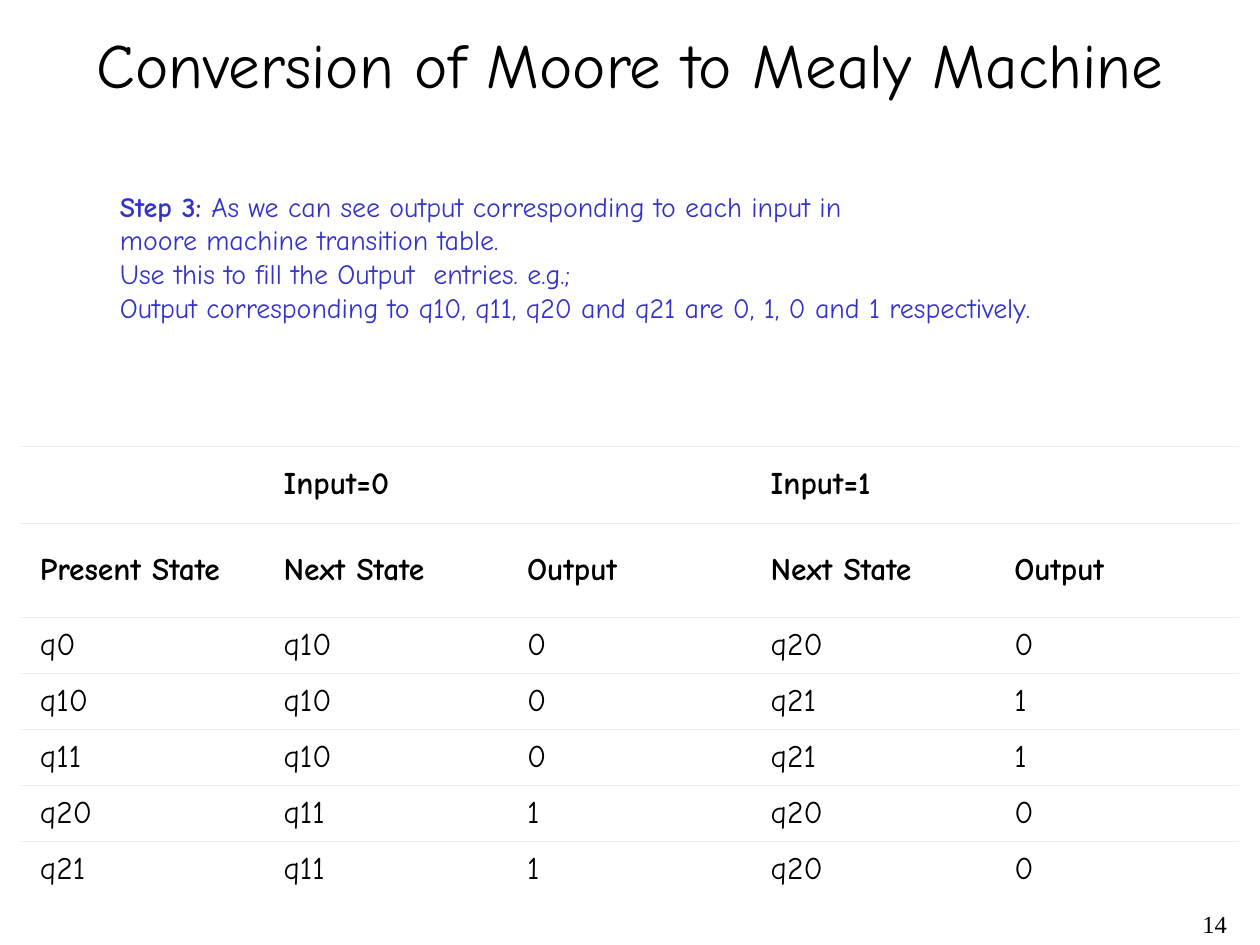
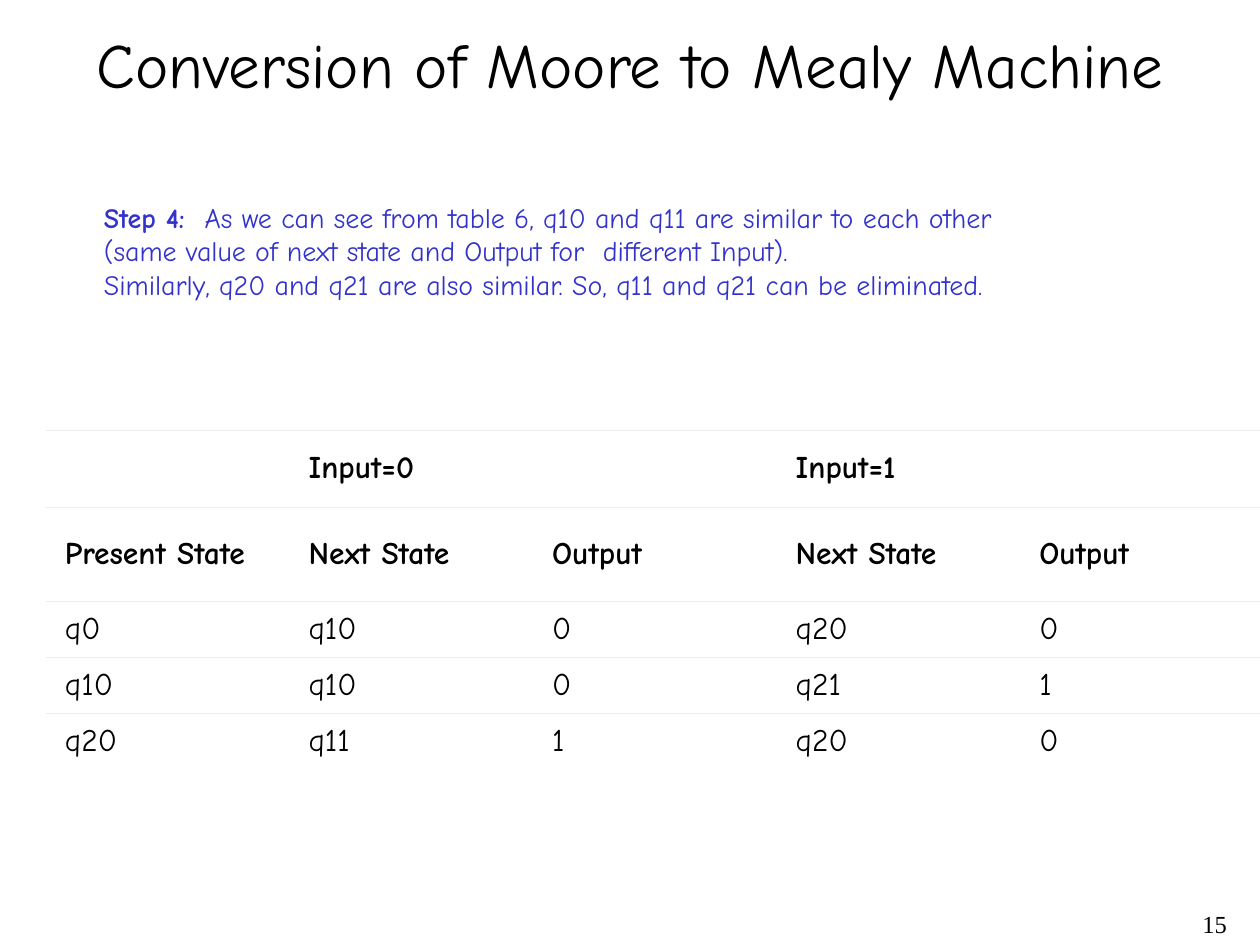
"""Build two slides on converting a Moore machine to a Mealy machine."""
from lxml import etree
from pptx import Presentation
from pptx import util as u
from pptx.dml.color import RGBColor
from pptx.enum import shapes, text
from pptx.oxml import ns

BLACK = RGBColor(0x00, 0x00, 0x00)
WHITE = RGBColor(0xFF, 0xFF, 0xFF)
BLUE = RGBColor(0x33, 0x33, 0xCC)
RULE_GREY = RGBColor(0xED, 0xED, 0xED)
HAND = "Comic Neue"
SERIF = "Times New Roman"
TITLE = "Conversion of Moore to Mealy Machine"
NO_STYLE = "{2D5ABB26-0587-4C30-8999-92F81FD0307C}"
COLUMN, INPUT_ROW, HEADING_ROW, STATE_ROW = 243.6, 77, 94, 56.2
HEADINGS = [
    ["", "Input=0", "", "Input=1", ""],
    ["Present State", "Next State", "Output", "Next State", "Output"],
]

STEPS = [
    {
        "number": "14",
        "label": "Step 3: ",
        "lines": [
            "As we can see output corresponding to each input in",
            "moore machine transition table.",
            "Use this to fill the Output  entries. e.g.;",
            "Output corresponding to q10, q11, q20 and q21 are 0, 1, 0 and 1 respectively.",
        ],
        "note_box": (120, 189, 943, 135),
        "note_indent": 0,
        "table_at": (21, 446),
        "states": ["q0 q10 0 q20 0", "q10 q10 0 q21 1", "q11 q10 0 q21 1",
                   "q20 q11 1 q20 0", "q21 q11 1 q20 0"],
    },
    {
        "number": "15",
        "label": "Step 4:  ",
        "lines": [
            "As we can see from table 6, q10 and q11 are similar to each other",
            "(same value of next state and Output for  different Input).",
            "Similarly, q20 and q21 are also similar. So, q11 and q21 can be eliminated.",
        ],
        "note_box": (95, 200, 902, 101),
        "note_indent": 9,
        "table_at": (46, 430),
        "states": ["q0 q10 0 q20 0", "q10 q10 0 q21 1", "q20 q11 1 q20 0"],
    },
]


def px(length):
    return u.Emu(round(length * 914400 / 126))


def set_lines(shape, lines, size, font, color, align, margins=(0, 0)):
    frame = shape.text_frame
    frame.word_wrap = True
    frame.vertical_anchor = text.MSO_ANCHOR.MIDDLE
    frame.margin_left = frame.margin_right = px(margins[0])
    frame.margin_top = frame.margin_bottom = px(margins[1])
    frame.text = "\n".join(lines)
    for paragraph in frame.paragraphs:
        paragraph.alignment = align
        for run in paragraph.runs:
            run.font.size = u.Pt(size)
            run.font.name = font
            run.font.color.rgb = color
    return frame


prs = Presentation()
prs.slide_width, prs.slide_height = px(1260), px(945)

for step in STEPS:
    slide = prs.slides.add_slide(prs.slide_layouts[6])
    heading = slide.shapes.add_textbox(px(21), px(21), px(1218), px(84))
    set_lines(heading, [TITLE], 36, HAND, BLACK, text.PP_ALIGN.CENTER)
    page = slide.shapes.add_textbox(px(977), px(903), px(262), px(42))
    set_lines(page, [step["number"]], 14, SERIF, BLACK, text.PP_ALIGN.RIGHT, (12, 6))

    rows = HEADINGS + [state.split() for state in step["states"]]
    heights = [INPUT_ROW, HEADING_ROW] + [STATE_ROW] * len(step["states"])
    left, top = step["table_at"]
    transitions = slide.shapes.add_table(
        len(rows), 5, px(left), px(top), px(5 * COLUMN), px(sum(heights))).table
    transitions.first_row = transitions.horz_banding = False
    transitions._tbl.tblPr.find(ns.qn("a:tableStyleId")).text = NO_STYLE
    for column in transitions.columns:
        column.width = px(COLUMN)
    for start in (1, 3):
        transitions.cell(0, start).merge(transitions.cell(0, start + 1))

    for r, (entries, height) in enumerate(zip(rows, heights)):
        transitions.rows[r].height = px(height)
        edges = ["a:lnT"] if r == len(rows) - 1 else ["a:lnT", "a:lnB"]
        for c, entry in enumerate(entries):
            cell = transitions.cell(r, c)
            cell.vertical_anchor = text.MSO_ANCHOR.MIDDLE
            cell.margin_left = cell.margin_right = px(19)
            cell.margin_top = cell.margin_bottom = px(6)
            properties = cell._tc.get_or_add_tcPr()
            for edge in edges:
                rule = etree.SubElement(properties, ns.qn(edge), w=str(u.Pt(0.34)))
                paint = etree.SubElement(rule, ns.qn("a:solidFill"))
                etree.SubElement(paint, ns.qn("a:srgbClr"), val=str(RULE_GREY))
            cell.fill.solid()
            cell.fill.fore_color.rgb = WHITE
            if entry:
                cell.text_frame.text = entry
                font = cell.text_frame.paragraphs[0].runs[0].font
                font.size = u.Pt(18)
                font.name = HAND
                font.bold = r < len(HEADINGS)
                font.color.rgb = BLACK

    first, *others = step["lines"]
    panel = slide.shapes.add_shape(shapes.MSO_SHAPE.RECTANGLE, *map(px, step["note_box"]))
    panel.shadow.inherit = False
    panel.fill.solid()
    panel.fill.fore_color.rgb = WHITE
    panel.line.fill.background()
    note = set_lines(panel, [step["label"], *others], 16, HAND, BLUE, text.PP_ALIGN.JUSTIFY)
    note.margin_left = px(step["note_indent"])
    opening = note.paragraphs[0]
    opening.runs[0].font.bold = True
    sentence = opening.add_run()
    sentence.text = first
    sentence.font.size = u.Pt(16)
    sentence.font.name = HAND
    sentence.font.color.rgb = BLUE

prs.save("out.pptx")
